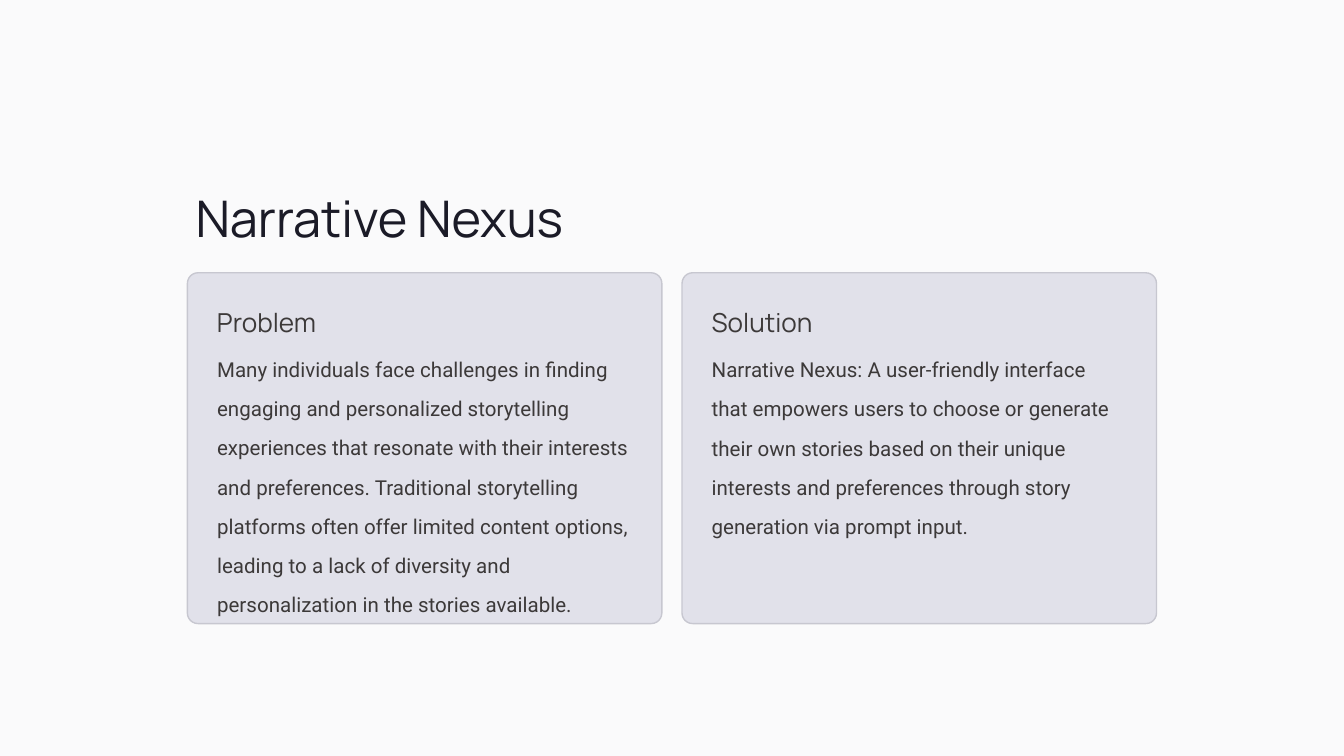
import lxml.etree
import pptx
import pptx.dml.color
import pptx.enum.shapes
import pptx.enum.text
import pptx.oxml.ns
import pptx.util
from pptx.util import Inches

COLORS = {
    "backdrop": "ECECF3",
    "veil": "FFFFFF",
    "title": "1B1B27",
    "text": "3C3939",
    "card": "E1E1EA",
    "border": "C7C7D0",
}
HEADING_FONT = "Manrope"
BODY_FONT = "Roboto"

SLIDE_WIDTH = 10
SLIDE_HEIGHT = SLIDE_WIDTH * 9 / 16
CARD_TOP = 2.03
CARD_WIDTH = 3.53
CARD_HEIGHT = 2.61
CARD_GAP = 0.15
LEFT = (SLIDE_WIDTH - 2 * CARD_WIDTH - CARD_GAP) / 2
PADDING = 0.16

CARDS = [
    ("Problem",
     "Many individuals face challenges in finding engaging and personalized "
     "storytelling experiences that resonate with their interests and "
     "preferences. Traditional storytelling platforms often offer limited "
     "content options, leading to a lack of diversity and personalization "
     "in the stories available.", 1.7),
    ("Solution",
     "Narrative Nexus: A user-friendly interface that empowers users to "
     "choose or generate their own stories based on their unique interests "
     "and preferences through story generation via prompt input.", 1.21),
]


def color(name):
    return pptx.dml.color.RGBColor.from_string(COLORS[name])


def write(box, text, font, size, color_name, line_spacing):
    """Fill a box with one left-aligned paragraph starting at its top."""
    frame = box.text_frame
    frame.text = text
    frame.word_wrap = True
    frame.auto_size = pptx.enum.text.MSO_AUTO_SIZE.NONE
    frame.vertical_anchor = pptx.enum.text.MSO_ANCHOR.TOP
    frame.margin_left = frame.margin_right = Inches(0.06)
    frame.margin_top = frame.margin_bottom = Inches(0.03)
    paragraph = frame.paragraphs[0]
    paragraph.alignment = pptx.enum.text.PP_ALIGN.LEFT
    paragraph.line_spacing = line_spacing
    span = paragraph.runs[0]
    span.font.name = font
    span.font.size = pptx.util.Pt(size)
    span.font.color.rgb = color(color_name)


def add_panel(page, kind, left, top, width, height, fill_name):
    panel = page.shapes.add_shape(
        kind, Inches(left), Inches(top), Inches(width), Inches(height))
    panel.shadow.inherit = False
    panel.fill.solid()
    panel.fill.fore_color.rgb = color(fill_name)
    panel.line.fill.background()
    return panel


def set_opacity(shape, percent):
    tone = shape.fill._xPr.find(".//" + pptx.oxml.ns.qn("a:srgbClr"))
    alpha = lxml.etree.SubElement(tone, pptx.oxml.ns.qn("a:alpha"))
    alpha.set("val", str(percent * 1000))


def add_backdrop(page):
    """Cover the page with a tint under a translucent white veil."""
    for fill_name in ("backdrop", "veil"):
        cover = add_panel(page, pptx.enum.shapes.MSO_SHAPE.RECTANGLE,
                          0, 0, SLIDE_WIDTH, SLIDE_HEIGHT, fill_name)
    set_opacity(cover, 75)


def add_title(page, text):
    """Place the title placeholder in front of the backdrop."""
    title = page.shapes.title
    title.left, title.top = Inches(LEFT), Inches(1.25)
    title.width, title.height = Inches(3.8), Inches(0.47)
    write(title, text, HEADING_FONT, 27, "title", 1.25)
    page.shapes.element.append(title.element)


def add_card(page, left, heading, body, body_height):
    card = add_panel(page, pptx.enum.shapes.MSO_SHAPE.ROUNDED_RECTANGLE,
                     left, CARD_TOP, CARD_WIDTH, CARD_HEIGHT, "card")
    card.adjustments[0] = 0.03
    card.line.color.rgb = color("border")
    card.line.width = pptx.util.Pt(0.75)
    text_left = Inches(left + PADDING)
    heading_box = page.shapes.add_textbox(
        text_left, Inches(CARD_TOP + PADDING), Inches(1.9), Inches(0.24))
    write(heading_box, heading, HEADING_FONT, 14, "text", 1.25)
    body_box = page.shapes.add_textbox(
        text_left, Inches(2.52),
        Inches(CARD_WIDTH - 2 * PADDING), Inches(body_height))
    write(body_box, body, BODY_FONT, 11, "text", 1.59)


def main():
    deck = pptx.Presentation()
    deck.slide_width = Inches(SLIDE_WIDTH)
    deck.slide_height = Inches(SLIDE_HEIGHT)
    page = deck.slides.add_slide(deck.slide_layouts.get_by_name("Title Only"))
    add_backdrop(page)
    add_title(page, "Narrative Nexus")
    for index, (heading, body, body_height) in enumerate(CARDS):
        left = LEFT + index * (CARD_WIDTH + CARD_GAP)
        add_card(page, left, heading, body, body_height)
    deck.save("out.pptx")


if __name__ == "__main__":
    main()
